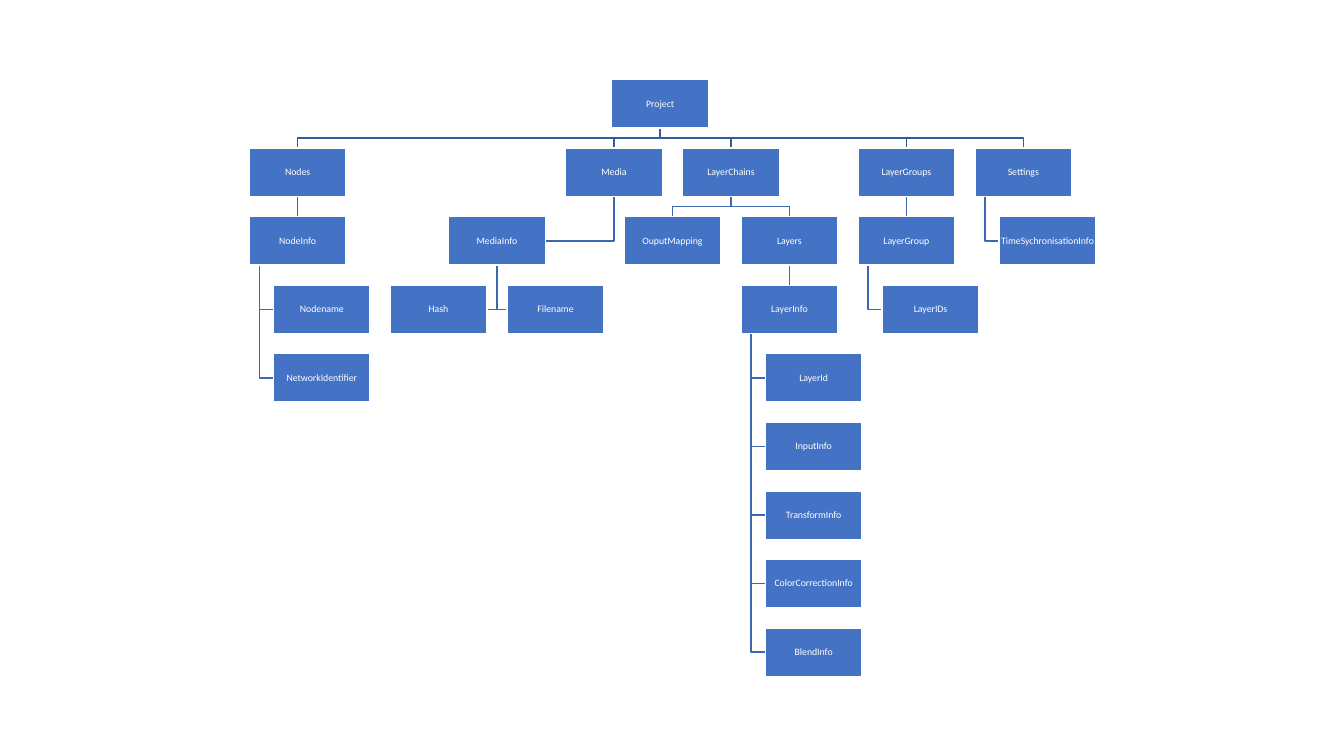
"""Draw the project data model as a hierarchy of boxes and elbow lines."""
from dataclasses import dataclass
from enum import Enum

from lxml import etree
from pptx import Presentation
from pptx.dml.color import RGBColor
from pptx.enum import shapes, text
from pptx.oxml.ns import qn
from pptx.util import Inches, Pt

BOX_WIDTH, BOX_HEIGHT = 0.96, 0.48
FIRST_COLUMN, COLUMN_STEP = 3.87, 0.58
FIRST_ROW, ROW_STEP = 0.79, 0.68
INDENT, RAIL_INSET = 0.24, 0.1
BOX_FILL, WHITE = "4472C4", "FFFFFF"
TOP_LINE, LOWER_LINE = "365B9D", "3E67B2"


class Link(Enum):
    FORK = "down, across and down to the top of the child"
    RAIL = "down the left of the parent to an indented child"
    SIDE = "down the middle of the parent to the side of the child"


@dataclass
class Node:
    name: str
    column: float
    row: int
    parent: "Node | None" = None
    link: Link = Link.FORK

    @property
    def left(self) -> float:
        indent = INDENT if self.link is Link.RAIL else 0
        return FIRST_COLUMN + self.column * COLUMN_STEP + indent

    @property
    def top(self) -> float:
        return FIRST_ROW + self.row * ROW_STEP

    @property
    def right(self) -> float:
        return self.left + BOX_WIDTH

    @property
    def bottom(self) -> float:
        return self.top + BOX_HEIGHT

    @property
    def centre(self) -> float:
        return self.left + BOX_WIDTH / 2

    @property
    def middle(self) -> float:
        return self.top + BOX_HEIGHT / 2


def rail_children(parent: Node, *names: str) -> list[Node]:
    """Stack indented children below their parent."""
    return [Node(name, parent.column, parent.row + level, parent, Link.RAIL)
            for level, name in enumerate(names, 1)]


def rgb(colour: str) -> RGBColor:
    """Turn a hex string into a colour."""
    return RGBColor.from_string(colour)


def link_points(parent: Node, child: Node) -> list[tuple[float, float]]:
    """Return the corners of the line from a parent to its child."""
    if child.link is Link.RAIL:
        rail = parent.left + RAIL_INSET
        return [(rail, parent.bottom), (rail, child.middle), (child.left, child.middle)]
    if child.link is Link.SIDE:
        side = child.right if child.centre < parent.centre else child.left
        return [(parent.centre, parent.bottom), (parent.centre, child.middle),
                (side, child.middle)]
    ends = (parent.centre, parent.bottom), (child.centre, child.top)
    if parent.column == child.column:
        return list(ends)
    bend = (parent.bottom + child.top) / 2
    return [ends[0], (parent.centre, bend), (child.centre, bend), ends[1]]


def draw_link(slide, parent: Node, child: Node) -> None:
    """Draw the line from a parent to its child."""
    start, *corners = [(Inches(x), Inches(y)) for x, y in link_points(parent, child)]
    if len(corners) == 1:
        branch = slide.shapes.add_connector(
            shapes.MSO_CONNECTOR.STRAIGHT, *start, *corners[0])
        etree.SubElement(branch._element.spPr, qn("a:effectLst"))
    else:
        builder = slide.shapes.build_freeform(*start)
        builder.add_line_segments(corners, close=False)
        branch = builder.convert_to_shape()
        branch.fill.background()
        branch.shadow.inherit = False
    branch.line.color.rgb = rgb(LOWER_LINE if parent.parent else TOP_LINE)
    branch.line.width = Pt(1)


def draw_box(slide, node: Node) -> None:
    """Draw the labelled box of a node."""
    box = slide.shapes.add_shape(
        shapes.MSO_SHAPE.RECTANGLE, Inches(node.left), Inches(node.top),
        Inches(BOX_WIDTH), Inches(BOX_HEIGHT))
    box.shadow.inherit = False
    box.fill.solid()
    box.fill.fore_color.rgb = rgb(BOX_FILL)
    box.line.color.rgb = rgb(WHITE)
    box.line.width = Pt(1)
    frame = box.text_frame
    frame.margin_left = frame.margin_right = frame.margin_top = frame.margin_bottom = 0
    frame.word_wrap = True
    frame.vertical_anchor = text.MSO_ANCHOR.MIDDLE
    label = frame.paragraphs[0]
    label.text = node.name
    label.alignment = text.PP_ALIGN.CENTER
    label.line_spacing = 0.9
    font = label.runs[0].font
    font.name, font.size = "Calibri", Pt(7)
    font.color.rgb = rgb(WHITE)


def project_tree() -> list[Node]:
    """Return every node of the project hierarchy."""
    project = Node("Project", 3.79, 0)
    nodes = Node("Nodes", -2.41, 1, project)
    node_info = Node("NodeInfo", nodes.column, 2, nodes)
    media = Node("Media", 3, 1, project)
    media_info = Node("MediaInfo", 1, 2, media, Link.SIDE)
    chains = Node("LayerChains", 5, 1, project)
    layers = Node("Layers", 6, 2, chains)
    layer_info = Node("LayerInfo", layers.column, 3, layers)
    groups = Node("LayerGroups", 8, 1, project)
    group = Node("LayerGroup", groups.column, 2, groups)
    settings = Node("Settings", 10, 1, project)
    return [
        project,
        nodes, node_info, *rail_children(node_info, "Nodename", "NetworkIdentifier"),
        media, media_info,
        Node("Hash", 0, 3, media_info, Link.SIDE),
        Node("Filename", 2, 3, media_info, Link.SIDE),
        chains, Node("OuputMapping", 4, 2, chains), layers, layer_info,
        *rail_children(layer_info, "LayerId", "InputInfo", "TransformInfo",
                       "ColorCorrectionInfo", "BlendInfo"),
        groups, group, *rail_children(group, "LayerIDs"),
        settings, *rail_children(settings, "TimeSychronisationInfo"),
    ]


def main() -> None:
    """Build and save the presentation."""
    deck = Presentation()
    deck.slide_width, deck.slide_height = Inches(13.33), Inches(7.5)
    slide = deck.slides.add_slide(deck.slide_layouts[6])
    tree = project_tree()
    for node in reversed(tree):
        if node.parent:
            draw_link(slide, node.parent, node)
    for node in tree:
        draw_box(slide, node)
    deck.save("out.pptx")


main()
